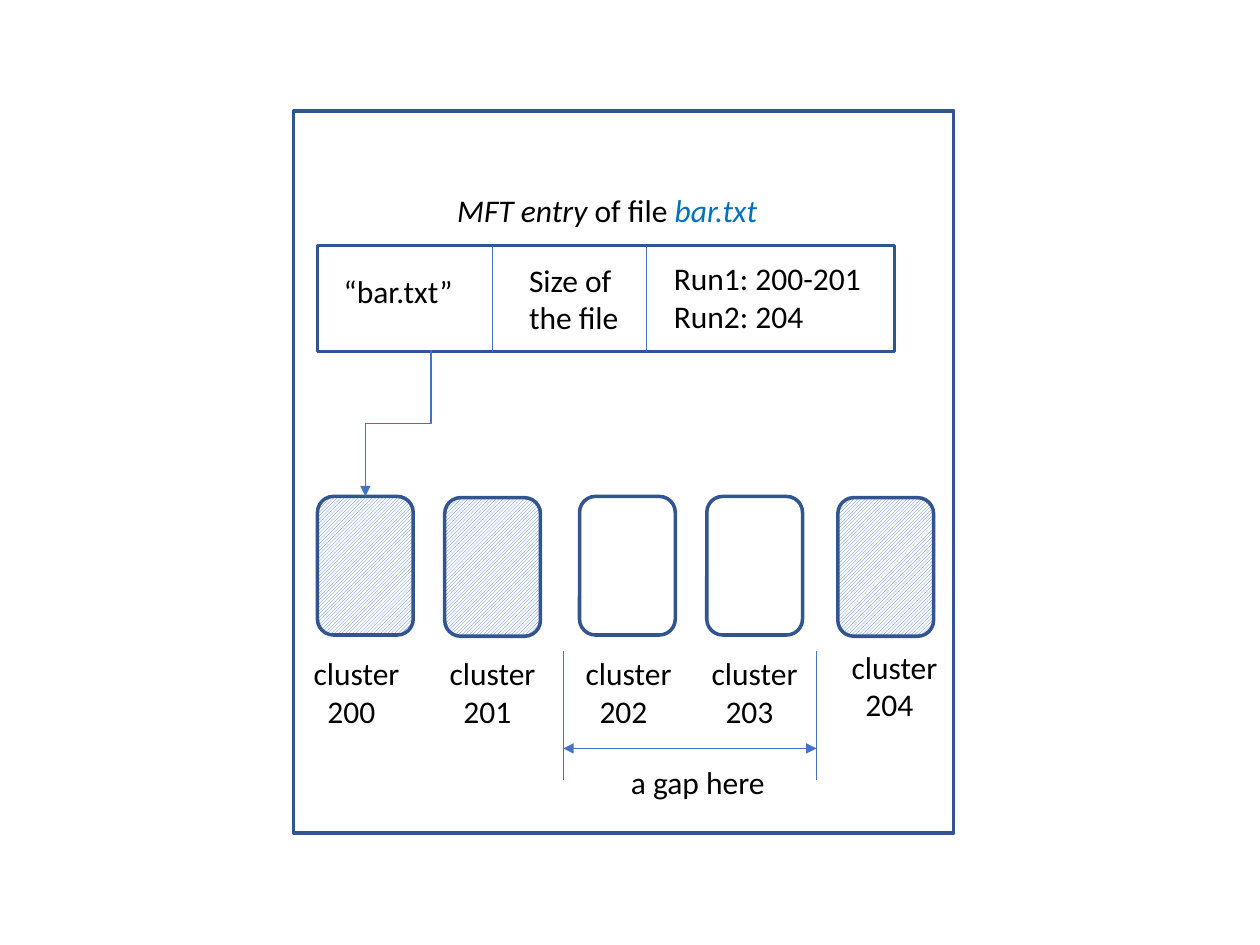
import pptx
import pptx.util
import pptx.dml.color
import pptx.enum.dml
import pptx.enum.shapes
import pptx.enum.text
import pptx.oxml.ns
from lxml import etree

Inches, Pt = pptx.util.Inches, pptx.util.Pt
SHAPE = pptx.enum.shapes.MSO_SHAPE
CONNECTOR = pptx.enum.shapes.MSO_CONNECTOR
qn = pptx.oxml.ns.qn

COLORS = {"outline": "325490", "line": "4472C4", "text": "000000",
          "file": "0070C0", "white": "FFFFFF"}

# number, box left, box top, label left, label top, used by the file
CLUSTERS = [
    (200, 2.52, 3.94, 2.39, 5.14, True),
    (201, 3.53, 3.95, 3.47, 5.14, True),
    (202, 4.60, 3.94, 4.55, 5.14, False),
    (203, 5.61, 3.94, 5.55, 5.14, False),
    (204, 6.65, 3.95, 6.66, 5.09, True),
]


def rgb(name):
    return pptx.dml.color.RGBColor.from_string(COLORS[name])


def add_box(s, kind, x, y, w, h, hatched=False):
    sp = s.shapes.add_shape(kind, Inches(x), Inches(y), Inches(w), Inches(h))
    sp.shadow.inherit = False
    sp.line.color.rgb = rgb("outline")
    sp.line.width = Pt(2)
    if hatched:
        sp.fill.patterned()
        sp.fill.pattern = pptx.enum.dml.MSO_PATTERN.LIGHT_UPWARD_DIAGONAL
        sp.fill.fore_color.rgb = rgb("line")
        sp.fill.back_color.rgb = rgb("white")
    else:
        sp.fill.background()
    return sp


def add_text(s, x, y, w, h, *lines):
    """Add a text box with one paragraph per line and return its paragraphs."""
    tb = s.shapes.add_textbox(Inches(x), Inches(y), Inches(w), Inches(h))
    tf = tb.text_frame
    tf.word_wrap = True
    tf.auto_size = pptx.enum.text.MSO_AUTO_SIZE.SHAPE_TO_FIT_TEXT
    tf.text = "\n".join(lines)
    for p in tf.paragraphs:
        p.font.name = "Calibri"
        p.font.size = Pt(18)
        p.font.color.rgb = rgb("text")
    return tf.paragraphs


def add_line(s, x1, y1, x2, y2, kind=CONNECTOR.STRAIGHT, arrows=()):
    """Add a connector; arrows names its ends, headEnd before tailEnd."""
    c = s.shapes.add_connector(kind, Inches(x1), Inches(y1), Inches(x2), Inches(y2))
    c.line.color.rgb = rgb("line")
    c.line.width = Pt(0.75)
    for end in arrows:
        etree.SubElement(c.line._get_or_add_ln(), qn("a:" + end), type="triangle")
    etree.SubElement(c._element.spPr, qn("a:effectLst"))
    return c


def add_title(s):
    p = add_text(s, 3.53, 1.47, 3.06, 0.4)[0]
    for text, italic in (("MFT entry", True), (" of file ", False), ("bar.txt", True)):
        r = p.add_run()
        r.text = text
        r.font.italic = italic
    r.font.color.rgb = rgb("file")


def add_cluster(s, number, x, y, label_x, label_y, used):
    add_box(s, SHAPE.ROUNDED_RECTANGLE, x, y, 0.76, 1.1, hatched=used)
    p = add_text(s, label_x, label_y, 0.89, 0.7, "cluster", str(number))[1]
    p._p.get_or_add_pPr().set("marL", str(Inches(0.11)))


def main():
    prs = pptx.Presentation()
    prs.slide_width, prs.slide_height = Inches(10), Inches(7.5)
    s = prs.slides.add_slide(prs.slide_layouts[6])

    # Outer frame
    add_box(s, SHAPE.RECTANGLE, 2.33, 0.88, 5.24, 5.73)

    # MFT entry and its fields
    add_title(s)
    add_box(s, SHAPE.RECTANGLE, 2.52, 1.95, 4.58, 0.84)
    for x in (3.91, 5.13):
        add_line(s, x, 1.95, x, 2.79)
    add_text(s, 2.63, 2.11, 1.07, 0.4, "“bar.txt”")
    add_text(s, 4.1, 2.02, 0.92, 0.7, "Size of", "the file")
    add_text(s, 5.25, 2.01, 1.73, 0.7, "Run1: 200-201", "Run2: 204")

    # Clusters on disk
    for cluster in CLUSTERS:
        add_cluster(s, *cluster)

    # Elbow arrow from the entry down to the first cluster, turned a quarter
    elbow = add_line(s, 2.58, 3.1, 3.74, 3.62, CONNECTOR.ELBOW, ["tailEnd"])
    elbow._element.spPr.find(qn("a:xfrm")).set("rot", "5400000")

    # Gap between the two runs
    left, right = 4.47, 6.48
    for x in (left, right):
        add_line(s, x, 5.17, x, 6.19)
    add_line(s, left, 5.94, right, 5.94, arrows=["headEnd", "tailEnd"])
    add_text(s, 4.91, 6.01, 1.4, 0.4, "a gap here")

    prs.save("out.pptx")


if __name__ == "__main__":
    main()
